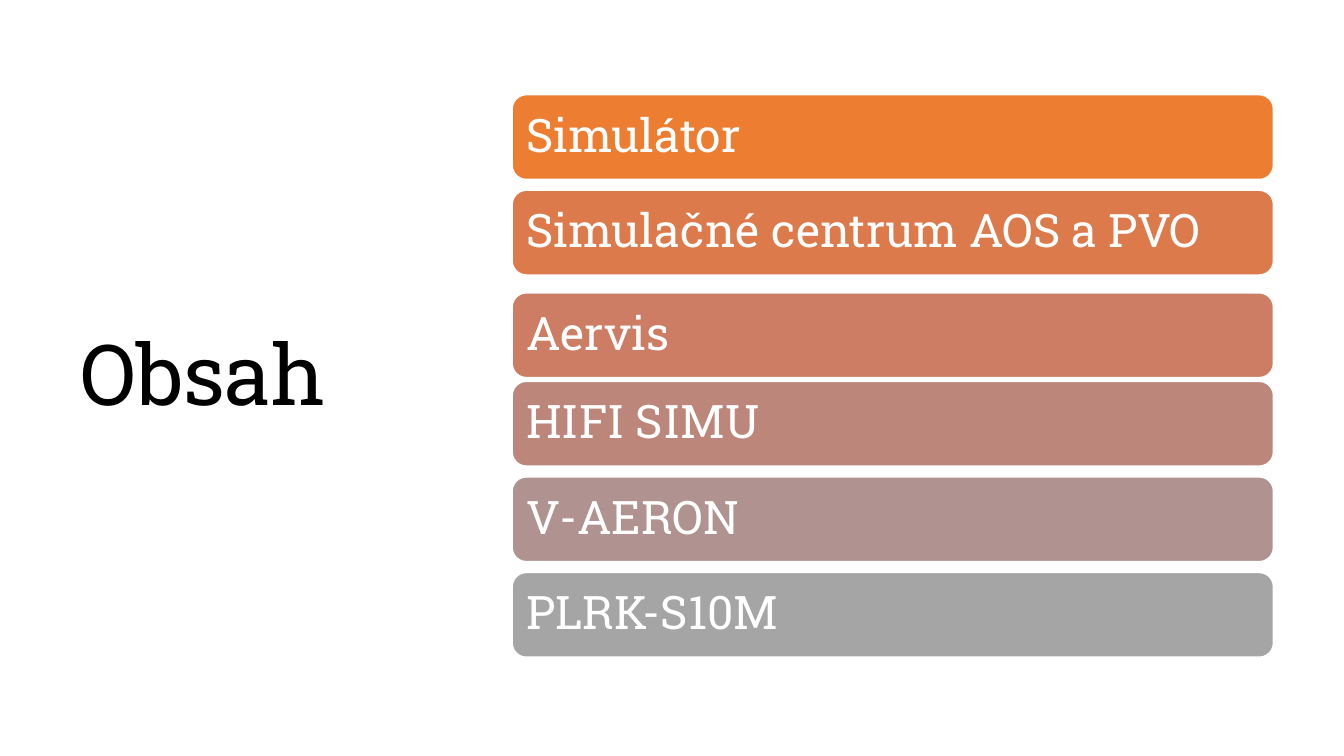
from pptx import Presentation
from pptx.dml.color import RGBColor
from pptx.enum.shapes import MSO_SHAPE
from pptx.enum.text import MSO_ANCHOR, PP_ALIGN
from pptx.util import Inches, Pt

ROUND = MSO_SHAPE.ROUNDED_RECTANGLE
MIDDLE = MSO_ANCHOR.MIDDLE
LEFT = PP_ALIGN.LEFT
FONT = "Roboto Slab"
COLORS = {"ink": "000000", "paper": "FFFFFF"}
# Label, fill and vertical nudge from the even grid
TOPICS = [
    ("Simulátor", "ED7D31", 0),
    ("Simulačné centrum AOS a PVO", "DC7A4B", 0),
    ("Aervis", "CC7D64", 0.07),
    ("HIFI SIMU", "BD867B", 0),
    ("V-AERON", "B09391", 0),
    ("PLRK-S10M", "A5A5A5", 0),
]


def color(key):
    return RGBColor.from_string(COLORS.get(key, key))


def write(shape, text, size, ink):
    frame = shape.text_frame
    frame.word_wrap = True
    frame.vertical_anchor = MIDDLE
    frame.text = text
    line = frame.paragraphs[0]
    line.alignment = LEFT
    line.line_spacing = 0.9
    line.font.name = FONT
    line.font.size = Pt(size)
    line.font.color.rgb = color(ink)


def add_title(slide, box):
    title = slide.shapes.title
    title.left, title.top, title.width, title.height = map(Inches, box)
    write(title, "Obsah", 60, "ink")


def add_bars(slide, box):
    left, top, width, height = box
    tall = 0.84
    pitch = (height - tall) / (len(TOPICS) - 1)
    for row, (label, fill, nudge) in enumerate(TOPICS):
        place = (left, top + row * pitch + nudge, width, tall)
        bar = slide.shapes.add_shape(ROUND, *map(Inches, place))
        bar.shadow.inherit = False
        bar.fill.solid()
        bar.fill.fore_color.rgb = color(fill)
        bar.line.color.rgb = color("paper")
        bar.line.width = Pt(1)
        bar.text_frame.margin_left = bar.text_frame.margin_right = Inches(0.1)
        write(bar, label, 33, "paper")


def main():
    deck = Presentation()
    deck.slide_width, deck.slide_height = Inches(13.33), Inches(7.5)
    slide = deck.slides.add_slide(deck.slide_layouts[5])
    # Title on the left, topics on the right
    add_title(slide, (0.7, 0.7, 3.74, 6.11))
    add_bars(slide, (5.08, 0.94, 7.55, 5.58))
    deck.save("out.pptx")


if __name__ == "__main__":
    main()
